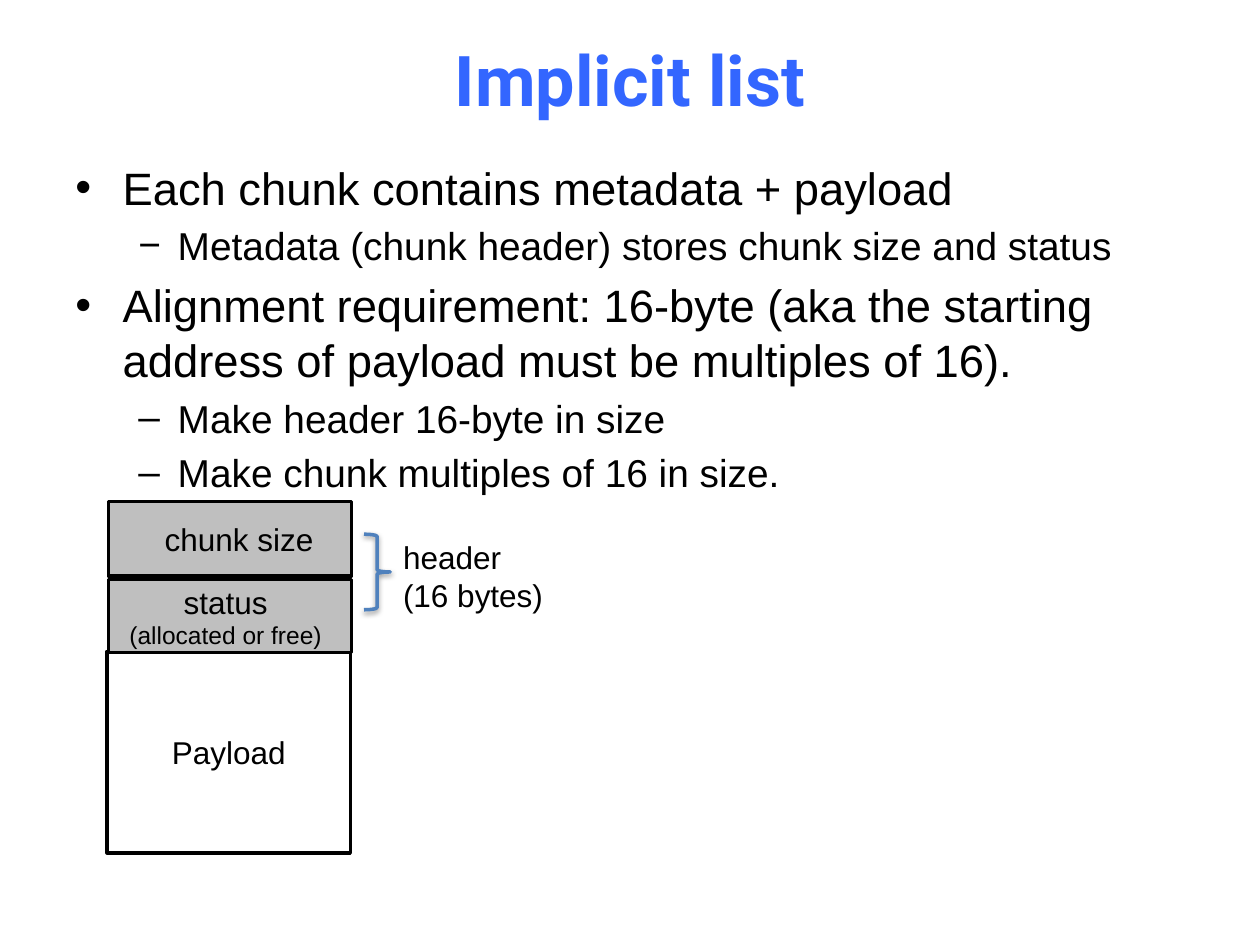
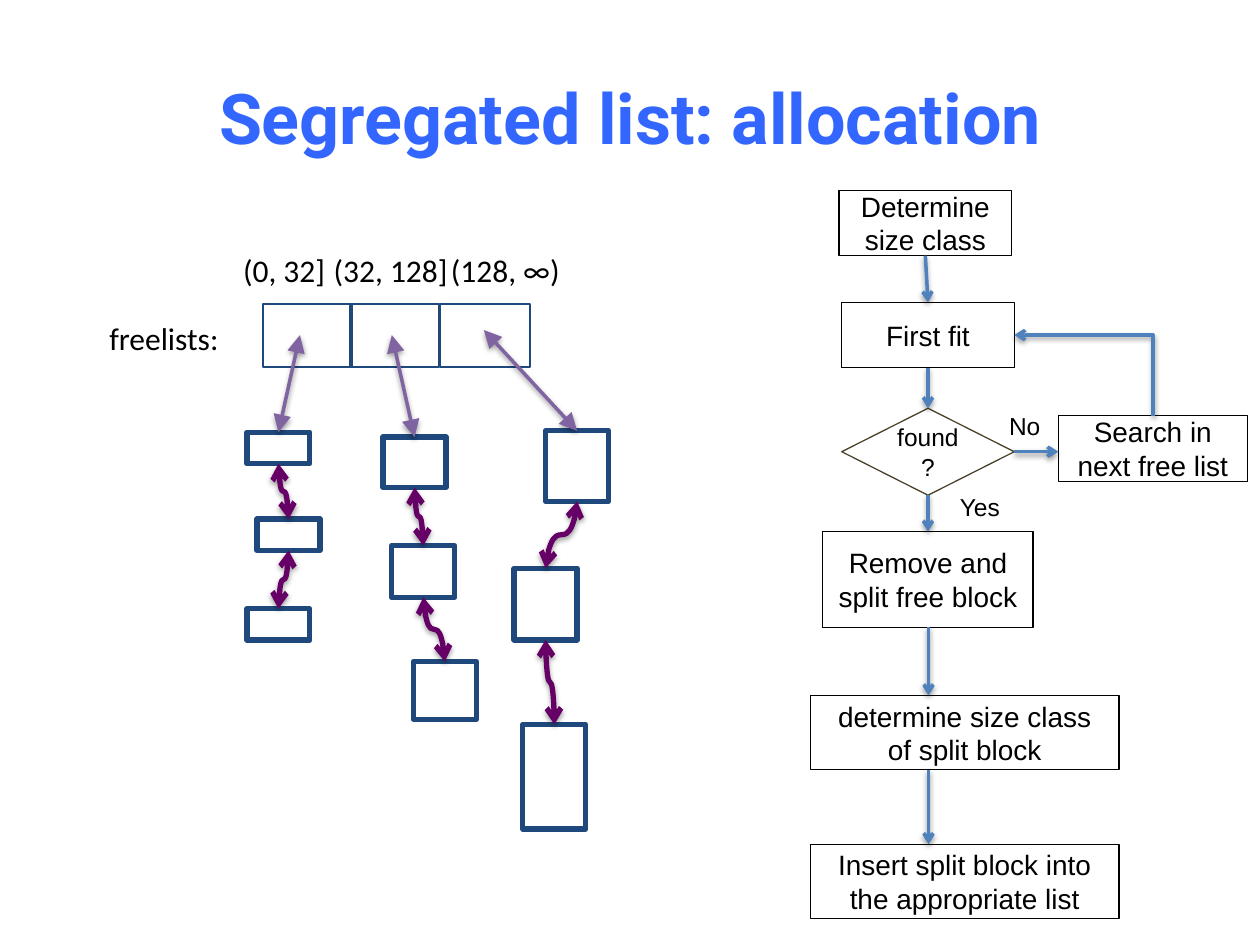
from lxml import etree
from pptx import Presentation
from pptx.dml.color import RGBColor
from pptx.enum import shapes, text
from pptx.oxml.ns import qn
from pptx.util import Pt

BLACK = RGBColor(0, 0, 0)
WHITE = RGBColor(0xFF, 0xFF, 0xFF)
TITLE_BLUE = RGBColor(0x33, 0x66, 0xFF)
HEADER_GREY = RGBColor(0xBF, 0xBF, 0xBF)
FLOW_BLUE = RGBColor(0x4F, 0x81, 0xBD)
BLOCK_NAVY = RGBColor(0x1F, 0x49, 0x7D)
LINK_PURPLE = RGBColor(0x66, 0, 0x66)
POINTER_VIOLET = RGBColor(0x80, 0x64, 0xA2)
DECISION_BROWN = RGBColor(0x4A, 0x45, 0x2A)

RECT = shapes.MSO_SHAPE.RECTANGLE
STRAIGHT = shapes.MSO_CONNECTOR.STRAIGHT
TOP, BOTTOM = 0, 2
LEVELS = [(27, 27, 25.9, 5.2), (58.5, 22.5, 22.2, 4.4)]


def add_run(paragraph, words, size, font="Arial", color=BLACK, bold=False):
    run = paragraph.add_run()
    run.text = words
    run.font.name = font
    run.font.size = Pt(size)
    run.font.bold = bold
    run.font.color.rgb = color


def write_lines(frame, lines, font="Arial", align=text.PP_ALIGN.LEFT):
    for index, (words, size) in enumerate(lines):
        paragraph = frame.add_paragraph() if index else frame.paragraphs[0]
        paragraph.alignment = align
        add_run(paragraph, words, size, font)


def add_titled_slide(prs, words, top):
    slide = prs.slides.add_slide(prs.slide_layouts[5])
    title = slide.shapes.title
    title.left, title.top, title.width, title.height = Pt(36), Pt(top), Pt(648), Pt(90)
    frame = title.text_frame
    frame.auto_size = text.MSO_AUTO_SIZE.NONE
    frame.vertical_anchor = text.MSO_ANCHOR.MIDDLE
    frame.paragraphs[0].alignment = text.PP_ALIGN.CENTER
    add_run(frame.paragraphs[0], words, 40, "Roboto", TITLE_BLUE, True)
    return slide


def add_bullets(slide, bounds, items):
    frame = slide.shapes.add_textbox(*map(Pt, bounds)).text_frame
    frame.word_wrap = True
    for index, (level, mark, words) in enumerate(items):
        paragraph = frame.add_paragraph() if index else frame.paragraphs[0]
        margin, hanging, size, gap = LEVELS[level]
        paragraph.level = level
        paragraph.space_before = Pt(gap if index else 0)
        properties = paragraph._p.get_or_add_pPr()
        properties.set("marL", str(Pt(margin)))
        properties.set("indent", str(-Pt(hanging)))
        etree.SubElement(properties, qn("a:buFont")).set("typeface", "Arial")
        etree.SubElement(properties, qn("a:buChar")).set("char", mark)
        add_run(paragraph, words, size)


def add_label(slide, bounds, lines, font="Arial"):
    frame = slide.shapes.add_textbox(*map(Pt, bounds)).text_frame
    frame.word_wrap = False
    write_lines(frame, lines, font)


def add_box(slide, bounds, color, weight, lines=(), kind=RECT, fill=None,
            align=text.PP_ALIGN.CENTER):
    box = slide.shapes.add_shape(kind, *map(Pt, bounds))
    box.shadow.inherit = False
    if fill is None:
        box.fill.background()
    else:
        box.fill.solid()
        box.fill.fore_color.rgb = fill
    box.line.color.rgb = color
    box.line.width = Pt(weight)
    box.text_frame.vertical_anchor = text.MSO_ANCHOR.MIDDLE
    write_lines(box.text_frame, lines, align=align)
    return box


def add_soft_shadow(shape):
    properties = shape.element.spPr
    effects = properties.find(qn("a:effectLst"))
    if effects is None:
        effects = etree.SubElement(properties, qn("a:effectLst"))
    shadow = etree.SubElement(effects, qn("a:outerShdw"), blurRad=str(Pt(3.1)),
                              dist=str(Pt(1.6)), dir="5400000", rotWithShape="0")
    color = etree.SubElement(shadow, qn("a:srgbClr"), val=str(BLACK))
    etree.SubElement(color, qn("a:alpha"), val="38000")


def style_arrow(arrow, color, weight, tip="arrow", tip_size="med", both_ends=False):
    arrow.line.color.rgb = color
    arrow.line.width = Pt(weight)
    line = arrow.line._get_or_add_ln()
    for end in ("a:headEnd", "a:tailEnd") if both_ends else ("a:tailEnd",):
        etree.SubElement(line, qn(end), type=tip, w=tip_size, len=tip_size)
    add_soft_shadow(arrow)


def add_flow(slide, upper, lower):
    arrow = slide.shapes.add_connector(STRAIGHT, 0, 0, 0, 0)
    arrow.begin_connect(upper, BOTTOM)
    arrow.end_connect(lower, TOP)
    style_arrow(arrow, FLOW_BLUE, 2)


def add_straight_flow(slide, start, end):
    arrow = slide.shapes.add_connector(STRAIGHT, *start, *end)
    style_arrow(arrow, FLOW_BLUE, 2)


def add_turned(slide, kind, start, end, rotation, flip=None):
    (x1, y1), (x2, y2) = start, end
    width, height = abs(y2 - y1), abs(x2 - x1)
    left, top = (x1 + x2 - width) // 2, (y1 + y2 - height) // 2
    link = slide.shapes.add_connector(kind, left, top, left + width, top + height)
    frame = link.element.spPr.find(qn("a:xfrm"))
    frame.set("rot", str(rotation * 60000))
    if flip:
        frame.set(flip, "1")
    return link


def top_centre(box):
    return box.left + box.width // 2, box.top


def bottom_centre(box):
    return box.left + box.width // 2, box.top + box.height


def right_centre(box):
    return box.left + box.width, box.top + box.height // 2


def add_link(slide, upper, lower):
    start, end = bottom_centre(upper), top_centre(lower)
    turn = (270, "flipH") if end[0] > start[0] else (90,)
    link = add_turned(slide, shapes.MSO_CONNECTOR.CURVE, start, end, *turn)
    style_arrow(link, LINK_PURPLE, 3, both_ends=True)


def add_free_list(slide, blocks, pointer):
    chain = [add_box(slide, (left, top, 36, height), BLOCK_NAVY, 3)
             for left, top, height in blocks]
    for upper, lower in zip(chain, chain[1:]):
        add_link(slide, upper, lower)
    arrow = slide.shapes.add_connector(STRAIGHT, *map(Pt, pointer), *top_centre(chain[0]))
    style_arrow(arrow, POINTER_VIOLET, 2, "triangle", "lg", True)


def add_step(slide, bounds, words):
    return add_box(slide, bounds, BLACK, 0.75, [(words, 16)])


def build_implicit_list(prs):
    slide = add_titled_slide(prs, "Implicit list", 0)
    add_bullets(slide, (36, 87.8, 659.5, 180.7), [
        (0, "•", "Each chunk contains metadata + payload"),
        (1, "−", "Metadata (chunk header) stores chunk size and status"),
        (0, "•", "Alignment requirement: 16-byte (aka the starting address of "
                 "payload must be multiples of 16)."),
        (1, "–", "Make header 16-byte in size"),
        (1, "–", "Make chunk multiples of 16 in size."),
    ])
    add_box(slide, (61.2, 372.2, 139, 115.2), BLACK, 2, [("Payload", 18)])
    chunk_size = add_box(slide, (61.9, 286.6, 139, 42.5), BLACK, 2, [("chunk size", 18)],
                         fill=HEADER_GREY, align=text.PP_ALIGN.LEFT)
    chunk_size.text_frame.margin_left = Pt(32.2)
    status = add_box(slide, (61.9, 331.2, 139, 41.8), BLACK, 2,
                     [("status", 18), ("(allocated or free)", 14)], fill=HEADER_GREY)
    status.text_frame.margin_right = Pt(12)
    add_label(slide, (223.2, 303.8, 95, 51), [("header", 18), ("(16 bytes)", 18)])
    brace = add_box(slide, (208, 305.3, 15, 43.2), FLOW_BLUE, 2,
                    kind=shapes.MSO_SHAPE.RIGHT_BRACE)
    add_soft_shadow(brace)


def build_free_lists(slide):
    for left, width, words in [(131.8, 62, "(0, 32]"), (183.6, 80.6, "(32, 128]"),
                               (250.6, 77, "(128, ∞)")]:
        add_label(slide, (left, 140, width, 28.8), [(words, 18)], "Calibri")
    add_label(slide, (55.4, 178.6, 77.8, 28.8), [("freelists:", 18)], "Calibri")
    for slot_left in (150.1, 199.8, 251.6):
        add_box(slide, (slot_left, 173.9, 51.1, 36), BLOCK_NAVY, 1)
    add_free_list(slide, [(141.1, 247, 18), (146.9, 296.6, 18), (141.1, 347.8, 18)],
                  (171.4, 191.5))
    add_free_list(slide, [(218.9, 249.8, 28.8), (223.9, 311.8, 29.5), (236.2, 378, 33.1)],
                  (223.9, 191.5))
    add_free_list(slide, [(311.8, 246.2, 40.3), (293.8, 324.7, 41), (298.8, 414, 59.8)],
                  (276.5, 188.6))


def build_allocation_flow(slide):
    size_class = add_step(slide, (479.5, 108.7, 98.6, 37.4), "Determine size class")
    first_fit = add_step(slide, (481, 172.8, 98.6, 37.4), "First fit")
    found = add_box(slide, (481, 233.3, 98.6, 49.7), DECISION_BROWN, 0.75,
                    [("found?", 14)], shapes.MSO_SHAPE.DIAMOND, WHITE)
    remove = add_step(slide, (470.2, 303.8, 120.2, 54.7), "Remove and split free block")
    search = add_step(slide, (604.8, 237.6, 108, 37.4), "Search in next free list")
    split_class = add_step(slide, (463, 397.4, 176.4, 42.5),
                           "determine size class of split block")
    insert = add_step(slide, (463, 482.4, 176.4, 42.5),
                      "Insert split block into the appropriate list")
    for upper, lower in [(size_class, first_fit), (first_fit, found), (found, remove)]:
        add_flow(slide, upper, lower)
    found_right = right_centre(found)
    add_straight_flow(slide, found_right, (search.left, found_right[1]))
    for upper, lower in [(remove, split_class), (split_class, insert)]:
        add_straight_flow(slide, (Pt(530.6), bottom_centre(upper)[1]),
                          (Pt(530.6), lower.top))
    retry = add_turned(slide, shapes.MSO_CONNECTOR.ELBOW, top_centre(search),
                       right_centre(first_fit), 270, "flipV")
    retry.element.spPr.find(qn("a:prstGeom")).set("prst", "bentConnector2")
    style_arrow(retry, FLOW_BLUE, 2)
    add_label(slide, (541.4, 277.9, 37.4, 24.5), [("Yes", 14)])
    add_label(slide, (569.5, 231.1, 32.4, 24.5), [("No", 14)])


def main():
    prs = Presentation()
    prs.slide_width, prs.slide_height = Pt(720), Pt(540)
    build_implicit_list(prs)
    allocation = add_titled_slide(prs, "Segregated list: allocation", 21.6)
    build_free_lists(allocation)
    build_allocation_flow(allocation)
    prs.save("out.pptx")


if __name__ == "__main__":
    main()
